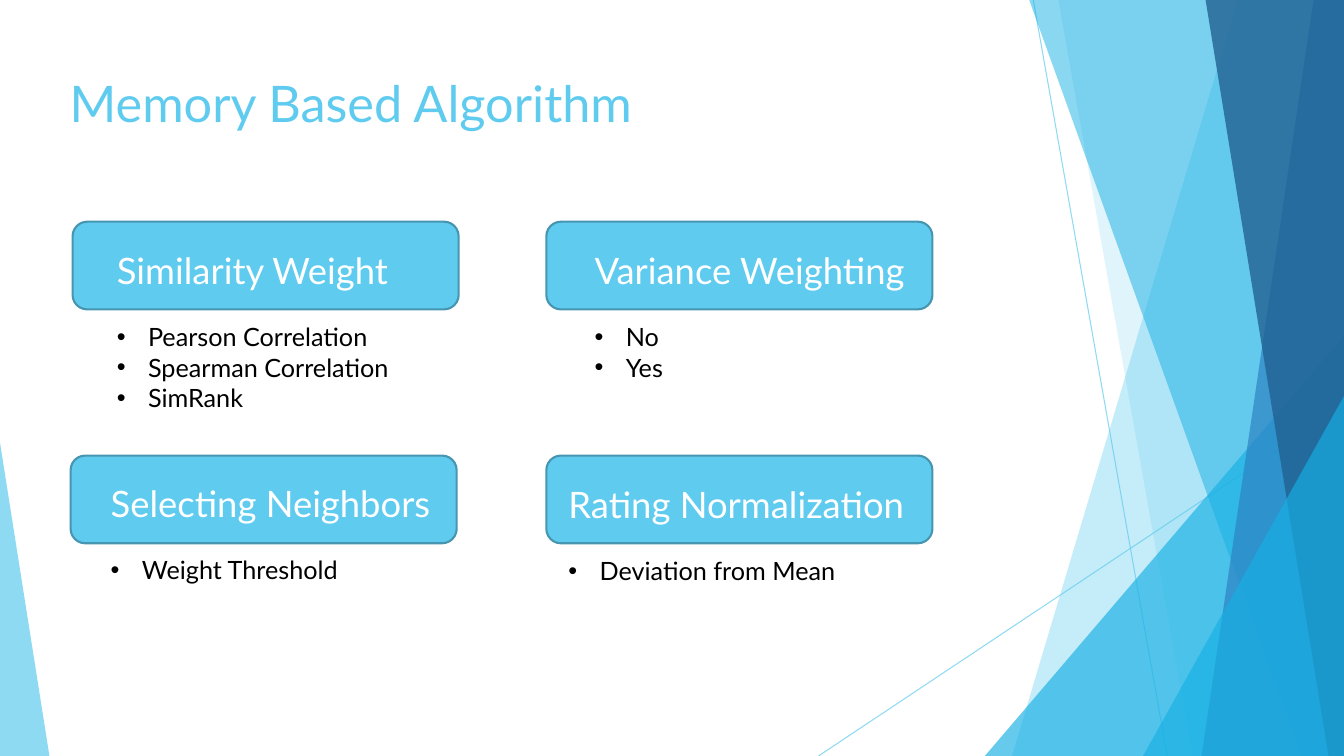
from dataclasses import dataclass

from lxml import etree
from pptx import Presentation
from pptx import util as u
from pptx.dml.color import RGBColor
from pptx.enum import shapes, text
from pptx.oxml.ns import qn

WIDTH, HEIGHT = u.Inches(13.33), u.Inches(7.5)


@dataclass(frozen=True)
class Theme:
    font: str = "Lato"
    sky: str = "5FCBEF"
    cyan: str = "17B0E4"
    blue: str = "2E83C3"
    navy: str = "226292"
    outline: str = "4696B1"
    white: str = "FFFFFF"
    black: str = "000000"
    title: int = 36
    heading: int = 26
    body: int = 18


THEME = Theme()

# Places are percentages of the slide's width and height
CARD_WIDTH, CARD_HEIGHT = 28.73, 11.6
CARDS = [  # card left, top; text left, top; heading; items
    (5.4, 29.33, 7.95, 32.13, "Similarity Weight",
     ["Pearson Correlation", "Spearman Correlation", "SimRank"]),
    (40.65, 29.33, 43.5, 32.13, "Variance Weighting", ["No", "Yes"]),
    (5.25, 60.27, 7.5, 62.93, "Selecting Neighbors", ["Weight Threshold"]),
    (40.65, 60.27, 41.55, 63.07, "Rating Normalization", ["Deviation from Mean"]),
]


def across(share):
    return round(WIDTH * share / 100)


def down(share):
    return round(HEIGHT * share / 100)


def set_alpha(fill, percent):
    """Make a solid fill or a line's fill partly transparent."""
    color = fill.fore_color._xFill[0]
    etree.SubElement(color, qn("a:alpha")).set("val", str(percent * 1000))


def paint(shape, color, alpha=None):
    shape.shadow.inherit = False
    shape.fill.solid()
    shape.fill.fore_color.rgb = RGBColor.from_string(color)
    if alpha:
        set_alpha(shape.fill, alpha)
    shape.line.fill.background()


def add_ray(page, start, end):
    ray = page.shapes.add_connector(
        shapes.MSO_CONNECTOR.STRAIGHT,
        across(start[0]), down(start[1]), across(end[0]), down(end[1]))
    ray.line.width = u.Pt(0.75)
    ray.line.fill.solid()
    ray.line.fill.fore_color.rgb = RGBColor.from_string(THEME.sky)
    set_alpha(ray.line.fill, 70)
    etree.SubElement(ray._element.spPr, qn("a:effectLst"))


def add_band(page, top, bottom, color, alpha):
    """Fill from a slanted left edge to the right side of the slide."""
    builder = page.shapes.build_freeform(across(top), 0)
    builder.add_line_segments(
        [(WIDTH, 0), (WIDTH, HEIGHT), (across(bottom), HEIGHT)], close=True)
    paint(builder.convert_to_shape(), color, alpha)


def add_corner(page, left, top, width, apex, color, alpha):
    """Stand a right triangle on the bottom of the slide."""
    corner = page.shapes.add_shape(
        shapes.MSO_SHAPE.ISOSCELES_TRIANGLE,
        across(left), down(top), across(width), down(100 - top))
    corner.adjustments[0] = apex
    paint(corner, color, alpha)


def add_facets(page):
    add_ray(page, (76.88, 0), (86.85, 100))
    add_ray(page, (100, 53.73), (60.9, 100))
    add_band(page, 92.1, 75.3, THEME.sky, 36)
    add_band(page, 78.75, 88.73, THEME.sky, 20)
    add_corner(page, 73.28, 44.4, 26.72, 1, THEME.cyan, 66)
    add_band(page, 76.58, 96.83, THEME.cyan, 50)
    add_band(page, 97.73, 89.4, THEME.blue, 70)
    add_band(page, 89.7, 98.85, THEME.navy, 80)
    add_corner(page, 85.05, 52.4, 14.95, 1, THEME.cyan, 66)
    add_corner(page, 0, 58.53, 3.68, 0, THEME.sky, 70)


def format_text(para, size, color):
    para.alignment = text.PP_ALIGN.LEFT
    for span in para.runs:
        span.font.name = THEME.font
        span.font.size = u.Pt(size)
        span.font.color.rgb = RGBColor.from_string(color)


def add_bullet(para):
    properties = para._p.get_or_add_pPr()
    indent = u.Inches(0.31)
    properties.set("marL", str(indent))
    properties.set("indent", str(-indent))
    etree.SubElement(properties, qn("a:buFont")).set("typeface", "Arial")
    etree.SubElement(properties, qn("a:buChar")).set("char", "•")


def set_title(page, wording):
    title = page.shapes.title
    title.left, title.top = across(4.43), down(8.93)
    title.width, title.height = across(70.52), down(19.2)
    frame = title.text_frame
    frame.text = wording
    frame.auto_size = text.MSO_AUTO_SIZE.NONE
    frame.vertical_anchor = text.MSO_ANCHOR.TOP
    format_text(frame.paragraphs[0], THEME.title, THEME.sky)


def add_card(page, left, top):
    card = page.shapes.add_shape(
        shapes.MSO_SHAPE.ROUNDED_RECTANGLE,
        across(left), down(top), across(CARD_WIDTH), down(CARD_HEIGHT))
    paint(card, THEME.sky)
    card.line.color.rgb = RGBColor.from_string(THEME.outline)
    card.line.width = u.Pt(1.5)


def add_topic(page, left, top, heading, items):
    box = page.shapes.add_textbox(
        across(left), down(top), across(CARD_WIDTH), down(23))
    frame = box.text_frame
    frame.word_wrap = True
    frame.text = "\n".join([heading, *items])
    first, *rest = frame.paragraphs
    format_text(first, THEME.heading, THEME.white)
    # The gap carries the list below the card
    rest[0].space_before = u.Pt(21.6)
    for para in rest:
        format_text(para, THEME.body, THEME.black)
        add_bullet(para)


def main():
    deck = Presentation()
    deck.slide_width, deck.slide_height = WIDTH, HEIGHT
    page = deck.slides.add_slide(deck.slide_layouts[5])

    # Background facets and title
    add_facets(page)
    set_title(page, "Memory Based Algorithm")

    # Four topics
    for left, top, text_left, text_top, heading, items in CARDS:
        add_card(page, left, top)
        add_topic(page, text_left, text_top, heading, items)

    deck.save("out.pptx")


main()
